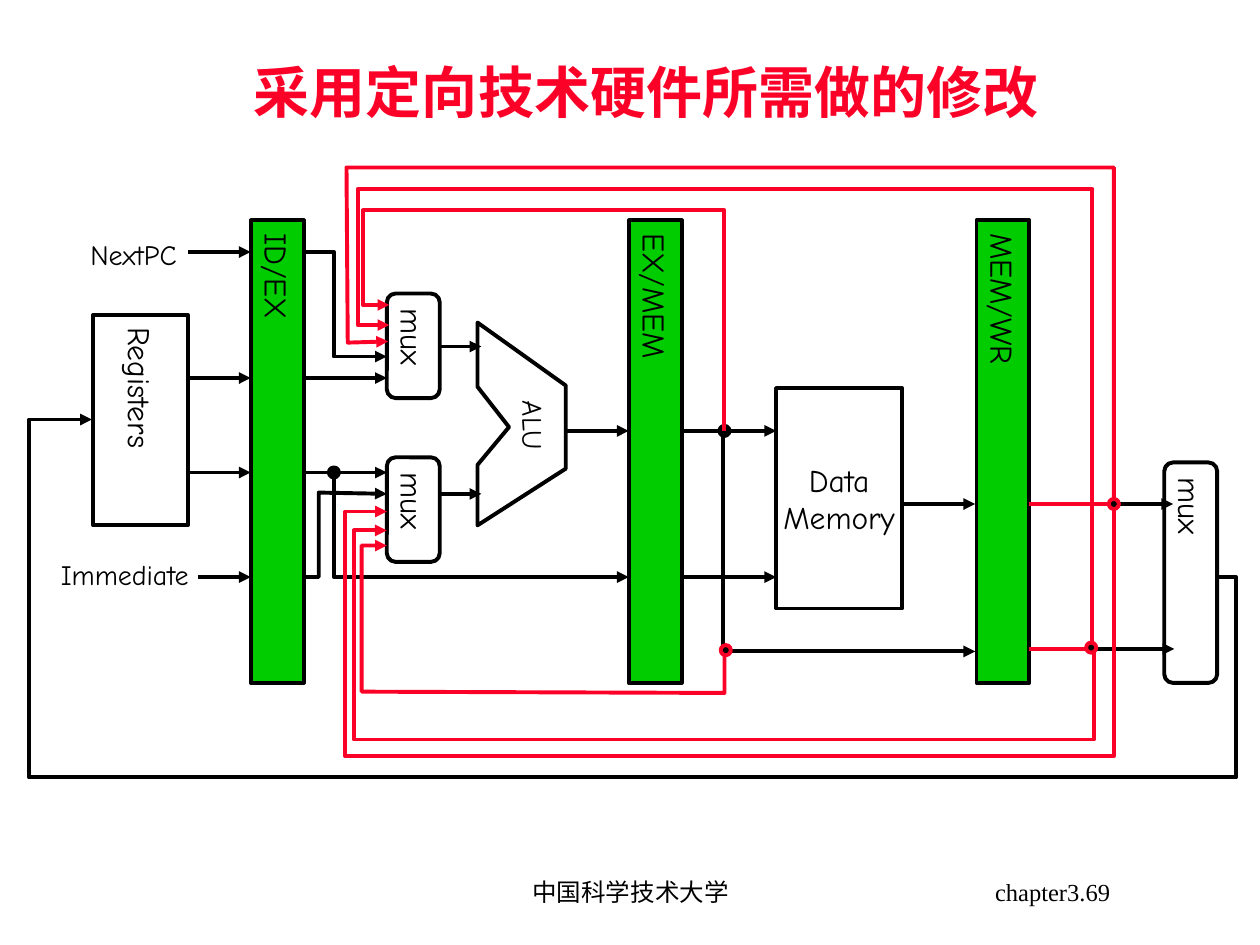
from lxml import etree
from pptx import Presentation
from pptx.dml.color import RGBColor
from pptx.enum import shapes, text
from pptx.oxml import ns
from pptx.util import Inches, Pt

BLACK = RGBColor(0x00, 0x00, 0x00)
RED = RGBColor(0xFC, 0x01, 0x28)
GREEN = RGBColor(0x00, 0xCC, 0x00)
LINE_WIDTH = Pt(2.25)
DOT_SIZE = 0.08
LATIN = "Comic Neue"
SERIF = "Times New Roman"
SANS = "Arial"
RECTANGLE = shapes.MSO_SHAPE.RECTANGLE
ROUNDED = shapes.MSO_SHAPE.ROUNDED_RECTANGLE
CENTER, RIGHT = text.PP_ALIGN.CENTER, text.PP_ALIGN.RIGHT

# Words, left, top, width, height, size, font, alignment
TITLE = ("采用定向技术硬件所需做的修改", 0.84, 0.42, 8.58, 0.67, 32, SANS, CENTER)
LABELS = [
    ("中国科学技术大学", 3.42, 6.83, 3.17, 0.5, 14, SERIF, CENTER),
    ("chapter3.69", 6.83, 6.83, 2.08, 0.5, 14, SERIF, RIGHT),
    ("NextPC", 0.54, 1.83, 1.04, 0.37, 16, LATIN, CENTER),
    ("Immediate", 0.34, 4.37, 1.3, 0.37, 16, LATIN, CENTER),
]
ALU_LABEL = ("ALU", 3.89, 3.19, 0.69, 0.37, 16, LATIN, CENTER)

# Words, shape, left, top, width, height, fill, vertical text
BLOCKS = [
    ("MEM/WR", RECTANGLE, 7.75, 1.75, 0.42, 3.67, GREEN, True),
    ("ID/EX", RECTANGLE, 1.99, 1.75, 0.42, 3.67, GREEN, True),
    ("EX/MEM", RECTANGLE, 4.99, 1.75, 0.42, 3.67, GREEN, True),
    ("Registers", RECTANGLE, 0.74, 2.5, 0.75, 1.67, None, True),
    ("Data\nMemory", RECTANGLE, 6.16, 3.08, 1, 1.75, None, False),
    ("mux", ROUNDED, 3.07, 2.33, 0.42, 0.83, None, True),
    ("mux", ROUNDED, 3.07, 3.63, 0.42, 0.83, None, True),
    ("mux", ROUNDED, 9.24, 3.67, 0.42, 1.75, None, True),
]
ALU = [(3.79, 2.56), (4.49, 3.06), (4.49, 3.72), (3.79, 4.17),
       (3.79, 3.69), (4.04, 3.39), (3.79, 3.07)]

# Level arrows: from x, to x, y
ARROWS = [
    (1.49, 1.99, 2), (1.49, 1.99, 3), (1.49, 1.99, 3.75), (1.57, 1.99, 4.58),
    (2.4, 3.07, 3), (2.4, 3.07, 3.75), (3.49, 3.82, 2.75), (3.49, 3.82, 3.92),
    (4.49, 4.99, 3.42), (5.4, 6.16, 3.42), (5.4, 6.16, 4.58),
    (7.16, 7.74, 4), (8.17, 9.31, 4), (8.19, 9.32, 5.15),
]
DATA_PATHS = [
    [(2.4, 2), (2.65, 2), (2.65, 2.83), (3.07, 2.83)],
    [(2.4, 4.58), (2.53, 4.58), (2.53, 3.91), (3.07, 3.92)],
    [(2.65, 3.75), (2.65, 4.58), (4.99, 4.58)],
    [(5.74, 3.42), (5.74, 5.17), (7.74, 5.17)],
    [(9.65, 4.58), (9.81, 4.58), (9.81, 6.17), (0.23, 6.17), (0.23, 3.33), (0.73, 3.33)],
]
FORWARDING_PATHS = [
    [(5.75, 5.17), (5.75, 5.5), (2.87, 5.49), (2.87, 4.33), (3.07, 4.33)],
    [(8.84, 4), (8.84, 1.33), (2.75, 1.33), (2.76, 2.72), (3.08, 2.71)],
    [(8.17, 5.15), (8.68, 5.15), (8.68, 5.87), (2.81, 5.87), (2.81, 4.21), (3.07, 4.21)],
    [(8.17, 4), (8.84, 4), (8.84, 6), (2.74, 6), (2.74, 4.06), (3.07, 4.06)],
    [(5.75, 3.42), (5.75, 1.67), (2.88, 1.67), (2.88, 2.42), (3.09, 2.42)],
    [(8.67, 5.17), (8.67, 1.5), (2.84, 1.5), (2.84, 2.58), (3.09, 2.58)],
]
# Centres of the junction dots
DATA_DOTS = [(5.75, 3.42), (2.65, 3.75)]
FORWARDING_DOTS = [(5.76, 5.16), (8.66, 5.14), (8.84, 4)]

presentation = Presentation()
presentation.slide_width, presentation.slide_height = Inches(10), Inches(7.5)
slide = presentation.slides.add_slide(presentation.slide_layouts[6])


def write(shape, words, size, font, color=BLACK, align=CENTER, wrap=False):
    frame = shape.text_frame
    frame.text = words
    frame.word_wrap = wrap
    frame.vertical_anchor = text.MSO_ANCHOR.MIDDLE
    for paragraph in frame.paragraphs:
        paragraph.alignment = align
        for run in paragraph.runs:
            run.font.size, run.font.name = Pt(size), font
            run.font.color.rgb = color
            # Chinese characters are always sans serif
            properties = run._r.get_or_add_rPr()
            etree.SubElement(properties, ns.qn("a:ea"), typeface=SANS)


def add_label(words, left, top, width, height, size, font, align, **options):
    box = slide.shapes.add_textbox(*map(Inches, (left, top, width, height)))
    write(box, words, size, font, align=align, wrap=True, **options)
    return box


def style(shape, fill=None, line=BLACK):
    shape.shadow.inherit = False
    if fill is None:
        shape.fill.background()
    else:
        shape.fill.solid()
        shape.fill.fore_color.rgb = fill
    shape.line.color.rgb = line
    shape.line.width = LINE_WIDTH


def add_arrowhead(shape):
    line = shape.line._get_or_add_ln()
    etree.SubElement(line, ns.qn("a:round"))
    etree.SubElement(line, ns.qn("a:tailEnd"), type="triangle")


def add_outline(points, closed, line=BLACK):
    start, *rest = [(Inches(x), Inches(y)) for x, y in points]
    builder = slide.shapes.build_freeform(*start, scale=1.0)
    builder.add_line_segments(rest, close=closed)
    shape = builder.convert_to_shape()
    style(shape, line=line)
    return shape


def add_paths(paths, color):
    for points in paths:
        add_arrowhead(add_outline(points, False, color))


def add_dots(centres, color):
    for x, y in centres:
        corner = (x - DOT_SIZE / 2, y - DOT_SIZE / 2, DOT_SIZE, DOT_SIZE)
        dot = slide.shapes.add_shape(shapes.MSO_SHAPE.OVAL, *map(Inches, corner))
        style(dot, BLACK, color)


# Title, footer and input labels
title = add_label(*TITLE, color=RED)
title.text_frame.paragraphs[0].line_spacing = 0.9
title.text_frame.paragraphs[0].runs[0].font.bold = True
for label in LABELS:
    add_label(*label)

# Pipeline registers, memory and multiplexers
for words, kind, left, top, width, height, fill, vertical in BLOCKS:
    block = slide.shapes.add_shape(kind, *map(Inches, (left, top, width, height)))
    style(block, fill)
    write(block, words, 18, LATIN, wrap=vertical)
    if vertical:
        frame = block.text_frame
        frame.margin_left = frame.margin_right = Inches(0.05)
        frame.margin_top = frame.margin_bottom = Inches(0.1)
        frame._txBody.bodyPr.set("vert", "eaVert")

# ALU
add_outline(ALU, True)
add_label(*ALU_LABEL).rotation = 90

# Data path
for start_x, end_x, y in ARROWS:
    arrow = slide.shapes.add_connector(
        shapes.MSO_CONNECTOR.STRAIGHT, *map(Inches, (start_x, y, end_x, y)))
    arrow.line.color.rgb = BLACK
    arrow.line.width = LINE_WIDTH
    add_arrowhead(arrow)
    etree.SubElement(arrow._element.spPr, ns.qn("a:effectLst"))
add_paths(DATA_PATHS, BLACK)
add_dots(DATA_DOTS, BLACK)

# Forwarding paths
add_paths(FORWARDING_PATHS, RED)
add_dots(FORWARDING_DOTS, RED)

presentation.save("out.pptx")
